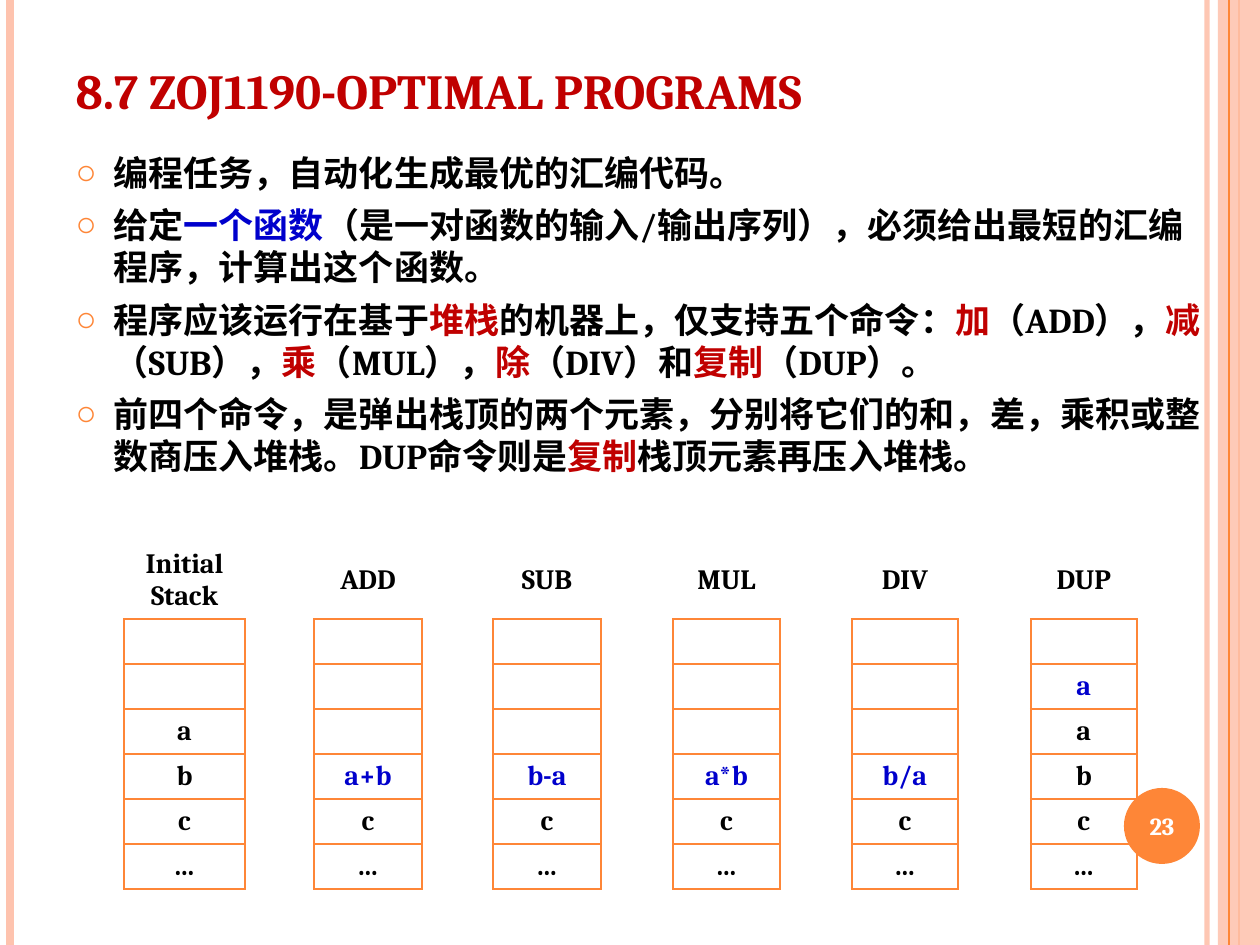
from lxml import etree
from pptx import Presentation
from pptx.dml.color import RGBColor
from pptx.enum.shapes import MSO_CONNECTOR, MSO_SHAPE
from pptx.enum.text import MSO_ANCHOR, MSO_AUTO_SIZE, PP_ALIGN
from pptx.oxml.ns import qn
from pptx.util import Emu, Pt

STRAIGHT = MSO_CONNECTOR.STRAIGHT
RECTANGLE, OVAL = MSO_SHAPE.RECTANGLE, MSO_SHAPE.OVAL
BOTTOM, MIDDLE, TOP = MSO_ANCHOR.BOTTOM, MSO_ANCHOR.MIDDLE, MSO_ANCHOR.TOP
LEFT, CENTER = PP_ALIGN.LEFT, PP_ALIGN.CENTER
NO_FIT = MSO_AUTO_SIZE.NONE

ORANGE = RGBColor(0xFE, 0x86, 0x37)
PEACH = RGBColor(0xFE, 0xC3, 0xAE)
RED = RGBColor(0xC0, 0x00, 0x00)
BLUE = RGBColor(0x00, 0x00, 0xCC)
BLACK = RGBColor(0x00, 0x00, 0x00)
WHITE = RGBColor(0xFF, 0xFF, 0xFF)

FONT = "Cambria"
PAGE_WIDTH, PAGE_HEIGHT = 1260, 945
EMU_PER_PX = 914400 / 126
NO_GRID_STYLE = "{2D5ABB26-0587-4C30-8999-92F81FD0307C}"

TITLE = "8.7 ZOJ1190-OPTIMAL PROGRAMS"
POINTS = [
    [("编程任务，自动化生成最优的汇编代码。", BLACK)],
    [("给定", BLACK), ("一个函数", BLUE),
     ("（是一对函数的输入/输出序列），必须给出最短的汇编程序，计算出这个函数。", BLACK)],
    [("程序应该运行在基于", BLACK), ("堆栈", RED),
     ("的机器上，仅支持五个命令：", BLACK), ("加", RED), ("（ADD），", BLACK),
     ("减", RED), ("（SUB），", BLACK), ("乘", RED), ("（MUL），", BLACK),
     ("除", RED), ("（DIV）和", BLACK), ("复制", RED), ("（DUP）。", BLACK)],
    [("前四个命令，是弹出栈顶的两个元素，分别将它们的和，差，乘积或整数商压入堆栈。DUP命令则是", BLACK),
     ("复制", RED), ("栈顶元素再压入堆栈。", BLACK)],
]
STACKS = [
    ("Initial Stack", ["a", "b", "c", "…"]),
    ("ADD", ["a+b", "c", "…"]),
    ("SUB", ["b-a", "c", "…"]),
    ("MUL", ["a*b", "c", "…"]),
    ("DIV", ["b/a", "c", "…"]),
    ("DUP", ["a", "a", "b", "c", "…"]),
]
COLUMN_WIDTHS = [121, 69, 108, 71, 108, 72, 107, 72, 106, 73, 106]
STACK_DEPTH = 6
HEADER_HEIGHT, ROW_HEIGHT = 77, 45


def px(length):
    """Turn pixels into EMU."""
    return Emu(round(length * EMU_PER_PX))


def place(shape, box):
    """Move a shape to a box of left, top, width and height."""
    shape.left, shape.top, shape.width, shape.height = map(px, box)


def set_alpha(properties, percent):
    """Make the solid colour inside an element partly transparent."""
    color = properties.find(".//" + qn("a:srgbClr"))
    etree.SubElement(color, qn("a:alpha")).set("val", str(percent * 1000))


def write(para, text, size=20, color=BLACK, align=LEFT):
    """Add one bold span to a paragraph."""
    para.alignment = align
    span = para.add_run()
    span.text = text
    span.font.name, span.font.size, span.font.bold = FONT, Pt(size), True
    span.font.color.rgb = color


def prepare_frame(frame, anchor):
    """Set wrapping, fixed size and anchor of a text frame."""
    frame.word_wrap, frame.auto_size = True, NO_FIT
    frame.vertical_anchor = anchor


def add_bullet(para):
    """Give a paragraph a hanging orange ring."""
    properties = para._p.get_or_add_pPr()
    properties.set("marL", str(px(38)))
    properties.set("indent", str(-px(38)))
    color = etree.SubElement(properties, qn("a:buClr"))
    etree.SubElement(color, qn("a:srgbClr")).set("val", str(ORANGE))
    etree.SubElement(properties, qn("a:buChar")).set("char", "○")


def add_stripe(page, x, color, width, alpha=100):
    """Draw a vertical line over the whole page height."""
    line = page.shapes.add_connector(STRAIGHT, px(x), 0, px(x), px(PAGE_HEIGHT))
    line.line.color.rgb, line.line.width = color, Pt(width)
    properties = line._element.spPr
    if alpha < 100:
        set_alpha(properties, alpha)
    etree.SubElement(properties, qn("a:effectLst"))


def add_block(page, kind, box, color):
    """Draw a filled shape without outline."""
    block = page.shapes.add_shape(kind, *map(px, box))
    block.shadow.inherit = False
    block.fill.solid()
    block.fill.fore_color.rgb = color
    block.line.fill.background()
    return block


def add_margins(page):
    """Draw the stripes along both page edges."""
    add_stripe(page, 1207, PEACH, 3, alpha=93)
    add_stripe(page, 10, PEACH, 4.5)
    add_stripe(page, 1239, ORANGE, 1.5)
    band = add_block(page, RECTANGLE, (1218, 0, PAGE_WIDTH - 1218, PAGE_HEIGHT), PEACH)
    set_alpha(band._element.spPr, 87)
    add_stripe(page, 1229, ORANGE, 0.75)


def add_page_number(page, box, number):
    """Draw the page number on a round badge."""
    left, top, width, height = box
    add_block(page, OVAL, box, ORANGE)
    label = page.shapes.add_textbox(*map(px, (left - 4, top + 2, width + 8, height - 4)))
    prepare_frame(label.text_frame, MIDDLE)
    write(label.text_frame.paragraphs[0], number, size=14, color=WHITE, align=CENTER)


def fill_title(title, box):
    """Place the title and write it."""
    place(title, box)
    prepare_frame(title.text_frame, BOTTOM)
    write(title.text_frame.paragraphs[0], TITLE, size=28, color=RED)


def fill_points(body, box):
    """Place the body and write its bulleted list."""
    place(body, box)
    frame = body.text_frame
    prepare_frame(frame, TOP)
    for index, point in enumerate(POINTS):
        para = frame.add_paragraph() if index else frame.paragraphs[0]
        para.space_before = Pt(6 if index else 0)
        add_bullet(para)
        for text, color in point:
            write(para, text, color=color)


def set_borders(cell, sides):
    """Draw orange borders on the given sides and none elsewhere."""
    properties = cell._tc.get_or_add_tcPr()
    for index, side in enumerate("LRTB"):
        border = etree.Element(qn("a:ln" + side), w=str(Pt(1.08)))
        if side in sides:
            fill = etree.SubElement(border, qn("a:solidFill"))
            etree.SubElement(fill, qn("a:srgbClr")).set("val", str(ORANGE))
        else:
            etree.SubElement(border, qn("a:noFill"))
        properties.insert(index, border)


def format_cell(cell, text, sides, color=BLACK):
    """Write one table cell and draw its borders."""
    cell.fill.background()
    cell.vertical_anchor = MIDDLE
    cell.margin_top = cell.margin_bottom = 0
    cell.margin_left = cell.margin_right = px(9)
    set_borders(cell, sides)
    if text:
        write(cell.text_frame.paragraphs[0], text, size=16, color=color, align=CENTER)


def add_stacks(page, left, top):
    """Build the table of stacks, with an empty column between neighbours."""
    height = HEADER_HEIGHT + STACK_DEPTH * ROW_HEIGHT
    box = (left, top, sum(COLUMN_WIDTHS), height)
    table = page.shapes.add_table(STACK_DEPTH + 1, len(COLUMN_WIDTHS), *map(px, box)).table
    table.first_row = table.horz_banding = False
    table._tbl.tblPr.find(qn("a:tableStyleId")).text = NO_GRID_STYLE
    for column, width in zip(table.columns, COLUMN_WIDTHS):
        column.width = px(width)
    for index, row in enumerate(table.rows):
        row.height = px(ROW_HEIGHT if index else HEADER_HEIGHT)
    for index in range(len(COLUMN_WIDTHS)):
        cells = [row.cells[index] for row in table.rows]
        if index % 2:
            for depth, cell in enumerate(cells):
                format_cell(cell, "", "LR" if depth else "")
            continue
        name, items = STACKS[index // 2]
        empty = STACK_DEPTH - len(items)
        format_cell(cells[0], name, "B")
        for depth, text in enumerate([""] * empty + items):
            is_result = index > 0 and depth == empty
            format_cell(cells[depth + 1], text, "LRTB", color=BLUE if is_result else BLACK)


def main():
    """Build the slide and save it."""
    deck = Presentation()
    deck.slide_width, deck.slide_height = px(PAGE_WIDTH), px(PAGE_HEIGHT)
    page = deck.slides.add_slide(deck.slide_layouts[1])
    add_margins(page)
    fill_title(page.shapes.title, (63, 16, 1102, 110))
    fill_points(page.placeholders[1], (63, 145, 1153, 397))
    add_stacks(page, 124, 542)
    add_page_number(page, (1124, 788, 76, 76), "23")
    deck.save("out.pptx")


if __name__ == "__main__":
    main()
